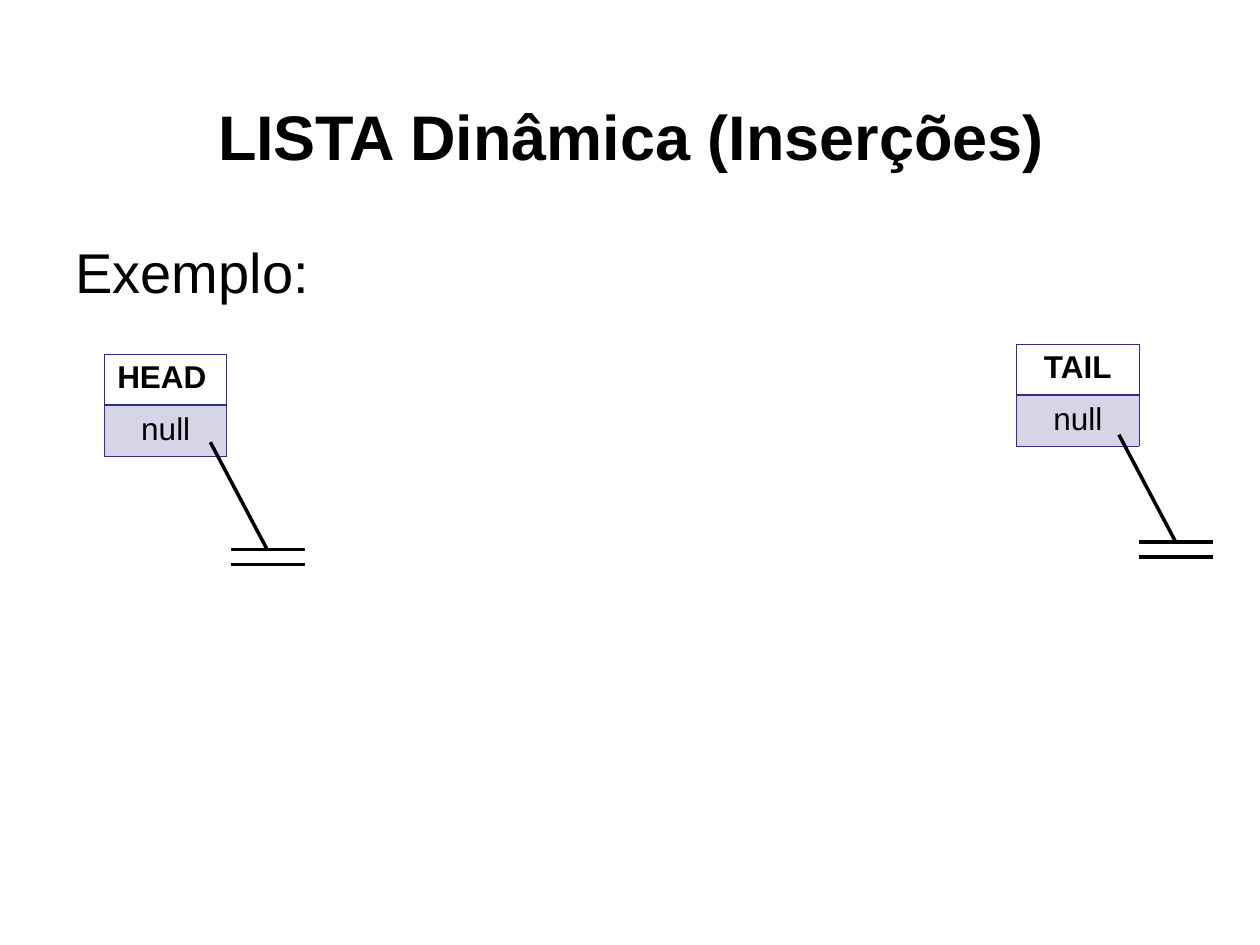
from lxml.etree import SubElement
from pptx import Presentation
from pptx.dml.color import RGBColor
from pptx.enum.shapes import MSO_CONNECTOR
from pptx.enum.text import MSO_ANCHOR, PP_ALIGN
from pptx.oxml import parse_xml
from pptx.oxml.ns import nsdecls, qn
from pptx.util import Pt

BLACK = RGBColor(0x00, 0x00, 0x00)
INDIGO = RGBColor(0x2D, 0x2D, 0x8A)
FONT = "Arial"

TITLE = "LISTA Dinâmica (Inserções)"
SUBTITLE = "Exemplo:"
# label, label alignment, table corner, start of the pointer line
NODES = [
    ("HEAD", PP_ALIGN.LEFT, (59.8, 202.3), (120.2, 252.7)),
    ("TAIL", PP_ALIGN.CENTER, (581, 196.6), (639.4, 248.4)),
]
NODE_WIDTH = 69.8
ROW_HEIGHTS = (29.2, 29)
THIN, DIVIDER = 0.45, 0.96
# Pointer and null symbol, relative to the start of the pointer
POINTER_LINES = [
    (0, 0, 32.4, 61.2),
    (11.6, 61.2, 54, 61.2),
    (11.6, 69.8, 54, 69.8),
]


def write(frame, text, size=18, bold=False, align=PP_ALIGN.LEFT):
    paragraph = frame.paragraphs[0]
    paragraph.alignment = align
    run = paragraph.add_run()
    run.text = text
    run.font.name = FONT
    run.font.size = Pt(size)
    run.font.bold = bold
    run.font.color.rgb = BLACK


def set_borders(cell, **widths):
    properties = cell._tc.get_or_add_tcPr()
    for index, side in enumerate("LRTB"):
        width = Pt(widths.get(side, THIN))
        properties.insert(index, parse_xml(
            f'<a:ln{side} {nsdecls("a")} w="{width}"><a:solidFill>'
            f'<a:srgbClr val="{INDIGO}"/></a:solidFill></a:ln{side}>'))


def add_node(slide, label, align, corner):
    left, top = corner
    table = slide.shapes.add_table(
        2, 1, Pt(left), Pt(top), Pt(NODE_WIDTH), Pt(sum(ROW_HEIGHTS))).table
    table.first_row = False
    table.horz_banding = False
    for row, height in zip(table.rows, ROW_HEIGHTS):
        row.height = Pt(height)

    header, value = table.cell(0, 0), table.cell(1, 0)
    write(header.text_frame, label, bold=True, align=align)
    write(value.text_frame, "null", align=PP_ALIGN.CENTER)
    header.fill.background()
    value.fill.solid()
    value.fill.fore_color.rgb = INDIGO
    color = value._tc.tcPr.find(".//" + qn("a:srgbClr"))
    SubElement(color, qn("a:alpha"), val="20000")
    set_borders(header, B=DIVIDER)
    set_borders(value, T=DIVIDER)


def add_null_pointer(slide, start):
    x, y = start
    group = slide.shapes.add_group_shape()
    for x1, y1, x2, y2 in POINTER_LINES:
        line = group.shapes.add_connector(
            MSO_CONNECTOR.STRAIGHT, Pt(x + x1), Pt(y + y1), Pt(x + x2), Pt(y + y2))
        line.line.color.rgb = BLACK
        line.line.width = Pt(2)
        SubElement(line._element.spPr, qn("a:effectLst"))


def main():
    presentation = Presentation()
    presentation.slide_width, presentation.slide_height = Pt(720), Pt(540)
    slide = presentation.slides.add_slide(presentation.slide_layouts[5])

    title = slide.shapes.title
    title.left, title.top, title.width, title.height = Pt(36.7), Pt(32.4), Pt(648), Pt(90)
    title.text_frame.vertical_anchor = MSO_ANCHOR.MIDDLE
    write(title.text_frame, TITLE, size=36, bold=True, align=PP_ALIGN.CENTER)

    body = slide.shapes.add_textbox(Pt(36), Pt(128.9), Pt(648), Pt(356.4))
    body.text_frame.word_wrap = True
    body.text_frame.margin_top = Pt(7)
    write(body.text_frame, SUBTITLE, size=32)

    for label, align, corner, pointer_start in NODES:
        add_node(slide, label, align, corner)
        add_null_pointer(slide, pointer_start)

    presentation.save("out.pptx")


if __name__ == "__main__":
    main()
